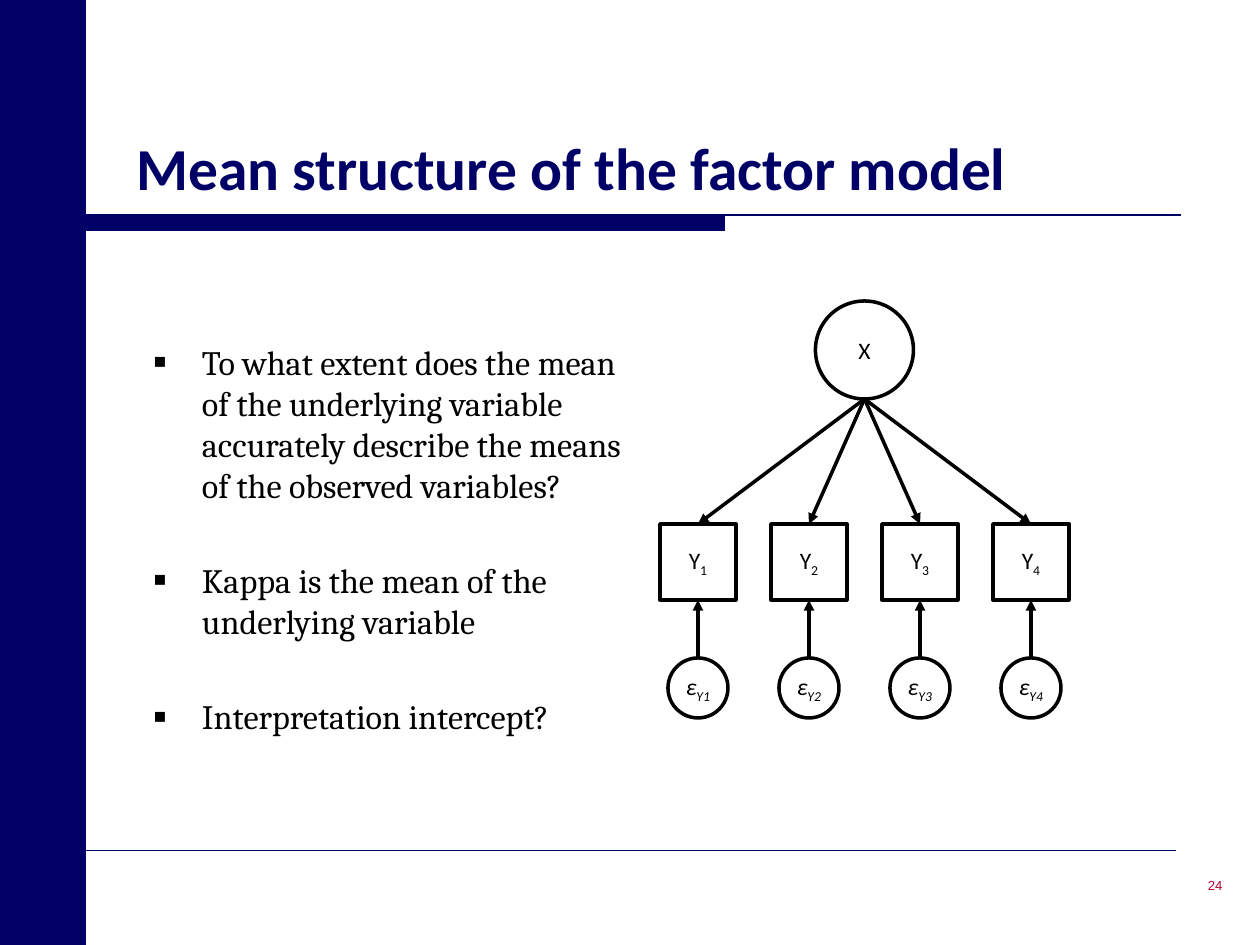
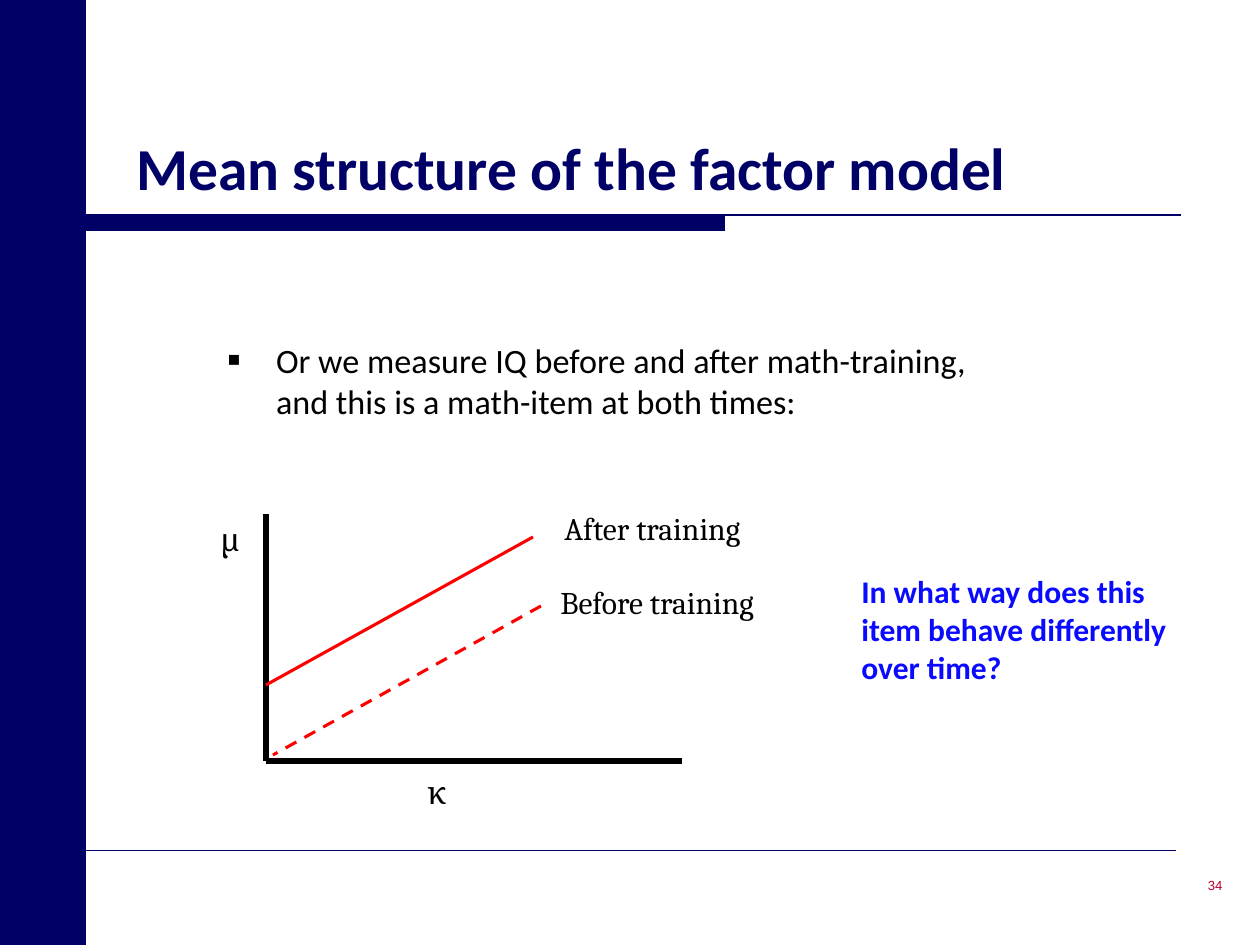
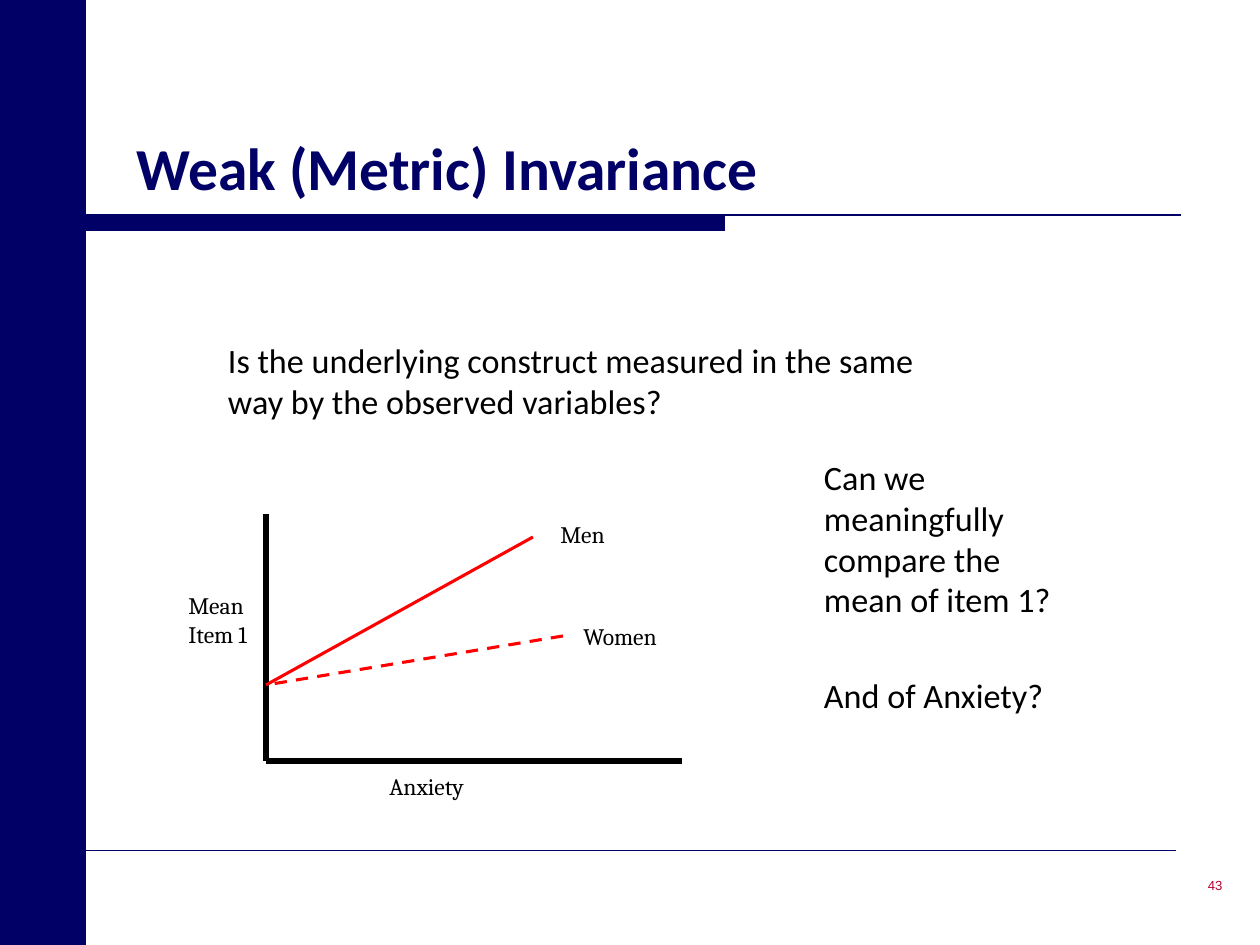
from lxml.etree import SubElement
from pptx import Presentation
from pptx.dml.color import RGBColor
from pptx.enum.dml import MSO_LINE
from pptx.enum.shapes import MSO_CONNECTOR, MSO_SHAPE
from pptx.enum.text import MSO_ANCHOR, PP_ALIGN
from pptx.oxml.ns import qn
from pptx.util import Pt

PX = 914400 / 126  # EMU in one px
WIDTH, HEIGHT = 1260, 945
SIDE_WIDTH = 85
COLORS = {"navy": "000066", "black": "000000", "red": "FF0000",
          "blue": "0A0AFF", "number": "BC0031"}
SANS, SERIF, NUMBER_FONT = "Calibri", "Cambria", "Arial"
BODY_SIZE, PARAGRAPH_GAP, BULLET_INDENT = 19.5, 31, 48
MEAN_TITLE = "Mean structure of the factor model"


def emu(px):
    return round(px * PX)


def color(name):
    return RGBColor.from_string(COLORS[name])


def style_font(font, size, name=SANS, color_name="black", bold=False, italic=False):
    font.size, font.name, font.bold, font.italic = Pt(size), name, bold, italic
    font.color.rgb = color(color_name)


def add_line(slide, start, end, width, color_name="black", dashed=False, arrow=False):
    line = slide.shapes.add_connector(
        MSO_CONNECTOR.STRAIGHT, *(emu(value) for value in (*start, *end)))
    line.line.width = Pt(width)
    line.line.color.rgb = color(color_name)
    if dashed:
        line.line.dash_style = MSO_LINE.DASH
    properties = line._element.spPr
    if arrow:
        SubElement(properties.find(qn("a:ln")), qn("a:tailEnd"), type="triangle")
    SubElement(properties, qn("a:effectLst"))


def add_shape(slide, kind, box, line_width=None, fill=None, line_color="black"):
    shape = slide.shapes.add_shape(kind, *(emu(value) for value in box))
    shape.shadow.inherit = False
    if fill:
        shape.fill.solid()
        shape.fill.fore_color.rgb = color(fill)
    else:
        shape.fill.background()
    if line_width:
        shape.line.width = Pt(line_width)
        shape.line.color.rgb = color(line_color)
    else:
        shape.line.fill.background()
    return shape


def add_text(slide, box, lines, size, font=SANS, color_name="black", bold=False,
             inset=True, gap=0, bullets=False, anchor=MSO_ANCHOR.TOP,
             align=PP_ALIGN.LEFT):
    frame = slide.shapes.add_textbox(*(emu(value) for value in box)).text_frame
    frame.word_wrap = True
    frame.vertical_anchor = anchor
    if not inset:
        frame.margin_left = frame.margin_right = 0
        frame.margin_top = frame.margin_bottom = 0
    frame.text = "\n".join(lines)
    for index, paragraph in enumerate(frame.paragraphs):
        paragraph.alignment = align
        if index and gap:
            paragraph.space_before = Pt(gap)
        if bullets:
            add_bullet(paragraph)
        for run in paragraph.runs:
            style_font(run.font, size, font, color_name, bold)


def add_bullet(paragraph):
    properties = paragraph._p.get_or_add_pPr()
    properties.set("marL", str(emu(BULLET_INDENT)))
    properties.set("indent", str(-emu(BULLET_INDENT)))
    SubElement(properties, qn("a:buSzPct"), val="60000")
    SubElement(properties, qn("a:buFont"), typeface="Arial")
    SubElement(properties, qn("a:buChar"), char="■")


def add_body(slide, box, lines, font=SANS, bullets=False):
    add_text(slide, box, lines, BODY_SIZE, font, inset=False,
             gap=PARAGRAPH_GAP, bullets=bullets)


def add_frame(presentation, title, number):
    """Blank slide with side band, title, rules and slide number."""
    slide = presentation.slides.add_slide(presentation.slide_layouts[6])
    # Title rule: thick start, thin continuation
    add_shape(slide, MSO_SHAPE.RECTANGLE, (SIDE_WIDTH, 215, 640, 16), fill="navy")
    add_line(slide, (SIDE_WIDTH, 215), (1181, 215), 0.75, "navy")
    # Footer rule and side band
    add_line(slide, (SIDE_WIDTH, 850), (1176, 850), 0.25, "navy")
    add_shape(slide, MSO_SHAPE.RECTANGLE, (0, 0, SIDE_WIDTH, HEIGHT), 1, "navy", "navy")
    # Title and number
    add_text(slide, (124, 41, 969, 168), [title], 34, color_name="navy",
             bold=True, anchor=MSO_ANCHOR.BOTTOM)
    add_text(slide, (973, 849, 262, 73), [str(number)], 7.5, NUMBER_FONT, "number",
             anchor=MSO_ANCHOR.MIDDLE, align=PP_ALIGN.RIGHT)
    return slide


def add_node(slide, kind, box, label, subscript="", italic=False):
    shape = add_shape(slide, kind, box, 2)
    frame = shape.text_frame
    frame.word_wrap = False
    frame.vertical_anchor = MSO_ANCHOR.MIDDLE
    paragraph = frame.paragraphs[0]
    paragraph.alignment = PP_ALIGN.CENTER
    for text in filter(None, (label, subscript)):
        run = paragraph.add_run()
        run.text = text
        style_font(run.font, 13.5, italic=italic)
    if subscript:
        run._r.get_or_add_rPr().set("baseline", "-25000")


def add_factor_model(slide, box, count=4):
    """Factor X above observed Y variables, each with an error term below."""
    left, top, width, height = box
    factor, observed, error = 98, 76, 60
    step = (width - observed) / (count - 1)
    middle = left + width / 2
    observed_top = top + 223
    observed_bottom = observed_top + observed
    error_top = top + height - error
    add_node(slide, MSO_SHAPE.OVAL, (middle - factor / 2, top, factor, factor), "X")
    for index in range(count):
        x = left + index * step
        center = x + observed / 2
        number = str(index + 1)
        add_node(slide, MSO_SHAPE.RECTANGLE,
                 (x, observed_top, observed, observed), "Y", number)
        add_node(slide, MSO_SHAPE.OVAL,
                 (center - error / 2, error_top, error, error), "ε", "Y" + number, True)
        add_line(slide, (middle, top + factor), (center, observed_top), 2, arrow=True)
        add_line(slide, (center, error_top), (center, observed_bottom), 2, arrow=True)


def add_plot(slide, box, solid, dashed, labels, label_size):
    """Two axes with a solid and a dashed line; points are relative to the box."""
    left, top, width, height = box

    def place(point):
        return left + point[0], top + point[1]

    # Axes
    add_line(slide, place((0, 0)), place((0, height)), 3.5)
    add_line(slide, place((width, height)), place((0, height)), 3.5)
    # Group lines
    for (start, end), is_dashed in ((solid, False), (dashed, True)):
        add_line(slide, place(start), place(end), 1.75, "red", is_dashed)
    # Labels
    for position, *lines in labels:
        label_height = 13 + 2.1 * label_size * len(lines)
        add_text(slide, (*place(position), 240, label_height), lines, label_size, SERIF)


def main():
    presentation = Presentation()
    presentation.slide_width, presentation.slide_height = emu(WIDTH), emu(HEIGHT)
    plot_box = (266, 514, 416, 247)
    solid = ((267, 23), (0, 171))

    # Factor model
    slide = add_frame(presentation, MEAN_TITLE, 24)
    add_factor_model(slide, (660, 301, 409, 417))
    add_body(slide, (154, 341, 476, 347), [
        "To what extent does the mean of the underlying variable accurately "
        "describe the means of the observed variables?",
        "Kappa is the mean of the underlying variable",
        "Interpretation intercept?"], SERIF, bullets=True)

    # Training example
    slide = add_frame(presentation, MEAN_TITLE, 34)
    add_body(slide, (228, 339, 764, 266), [
        "Or we measure IQ before and after math-training, "
        "and this is a math-item at both times:"], bullets=True)
    add_plot(slide, plot_box, solid, ((275, 92), (7, 241)), [
        ((149, 253), "κ"), ((-58, 0), "μ"),
        ((282, 63), "Before training"), ((286, -11), "After training")], 18)
    add_text(slide, (849, 566, 365, 127),
             ["In what way does this item behave differently over time?"],
             18, color_name="blue", bold=True)

    # Metric invariance
    slide = add_frame(presentation, "Weak (Metric) Invariance", 43)
    add_body(slide, (228, 339, 743, 77), [
        "Is the underlying construct measured in the same way by the observed variables?"])
    add_plot(slide, plot_box, solid, ((297, 122), (0, 171)), [
        ((111, 252), "Anxiety"), ((-90, 71), "Mean", "Item 1"),
        ((282, 0), "Men"), ((305, 102), "Women")], 13.5)
    add_body(slide, (824, 456, 238, 77), [
        "Can we meaningfully compare the mean of item 1?", "And of Anxiety?"])

    presentation.save("out.pptx")


if __name__ == "__main__":
    main()
